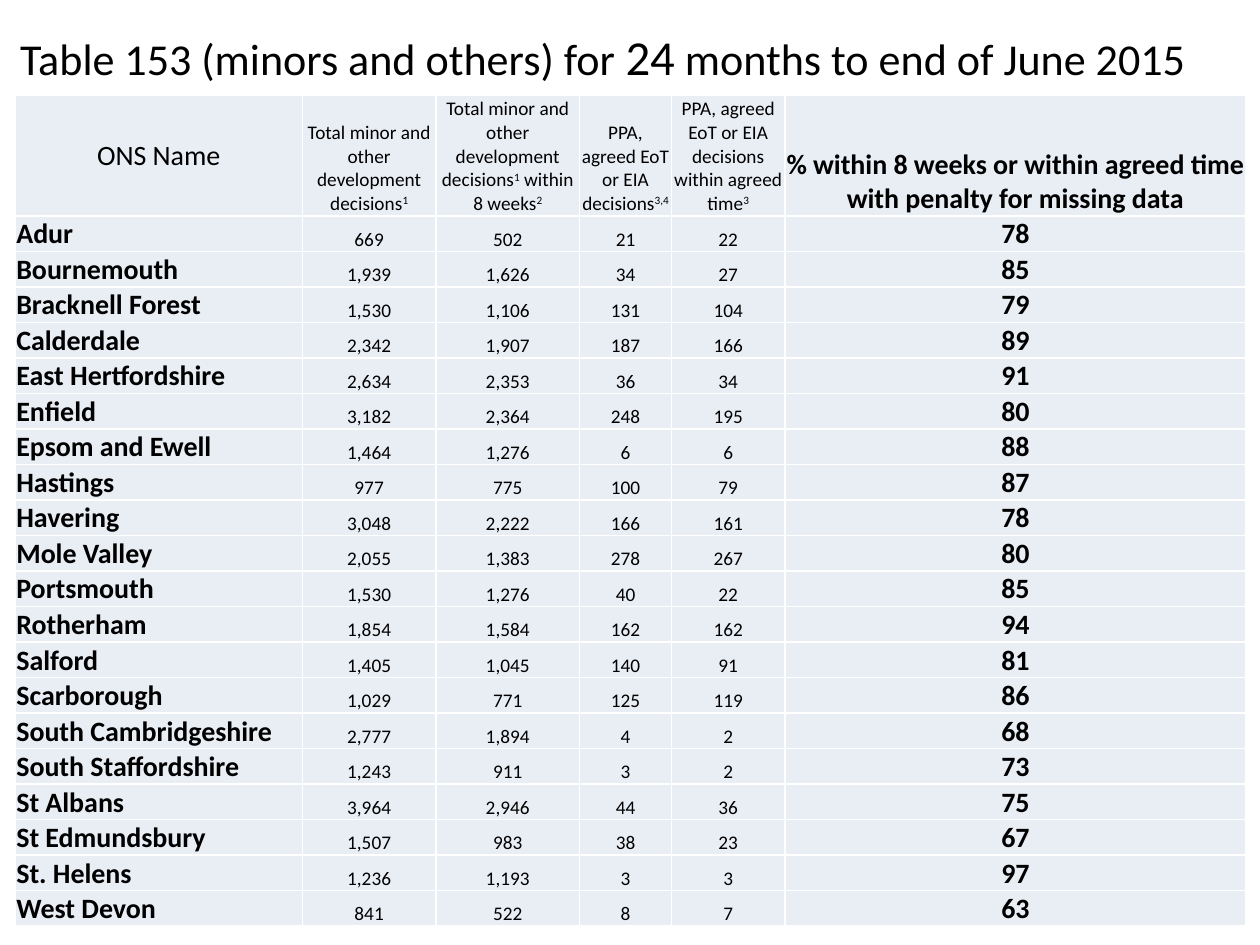
"""Build a slide with a table of planning decisions by local authority."""
import pptx
import pptx.dml.color
import pptx.enum.text
import pptx.oxml
import pptx.oxml.ns
import pptx.util

Inches = pptx.util.Inches
ALIGN = pptx.enum.text.PP_ALIGN
ANCHOR = pptx.enum.text.MSO_ANCHOR
BLACK = pptx.dml.color.RGBColor(0, 0, 0)
WHITE = pptx.dml.color.RGBColor(255, 255, 255)
PALE_BLUE = pptx.dml.color.RGBColor(0xE9, 0xED, 0xF4)
FONT = "Calibri"
LARGE, SMALL = 16, 11

TITLE = [
    ("Table 153 (minors and others) for ", 25.2),
    ("24", 27.9),
    (" months to end of June 2015", 25.2),
]
# Header parts alternate between normal and superscript text.
HEADERS = [
    ["ONS Name"],
    ["Total minor and other development decisions", "1"],
    ["Total minor and other development decisions", "1", " within 8 weeks", "2"],
    ["PPA, agreed EoT or EIA decisions", "3,4"],
    ["PPA, agreed EoT or EIA decisions within agreed time", "3"],
    ["% within 8 weeks or within agreed time with penalty for missing data"],
]
AUTHORITIES = [
    ("Adur", 669, 502, 21, 22, 78),
    ("Bournemouth", 1939, 1626, 34, 27, 85),
    ("Bracknell Forest", 1530, 1106, 131, 104, 79),
    ("Calderdale", 2342, 1907, 187, 166, 89),
    ("East Hertfordshire", 2634, 2353, 36, 34, 91),
    ("Enfield", 3182, 2364, 248, 195, 80),
    ("Epsom and Ewell", 1464, 1276, 6, 6, 88),
    ("Hastings", 977, 775, 100, 79, 87),
    ("Havering", 3048, 2222, 166, 161, 78),
    ("Mole Valley", 2055, 1383, 278, 267, 80),
    ("Portsmouth", 1530, 1276, 40, 22, 85),
    ("Rotherham", 1854, 1584, 162, 162, 94),
    ("Salford", 1405, 1045, 140, 91, 81),
    ("Scarborough", 1029, 771, 125, 119, 86),
    ("South Cambridgeshire", 2777, 1894, 4, 2, 68),
    ("South Staffordshire", 1243, 911, 3, 2, 73),
    ("St Albans", 3964, 2946, 44, 36, 75),
    ("St Edmundsbury", 1507, 983, 38, 23, 67),
    ("St. Helens", 1236, 1193, 3, 3, 97),
    ("West Devon", 841, 522, 8, 7, 63),
]
COLUMN_WIDTHS = [2.28, 1.06, 1.14, 0.73, 0.9, 3.66]
HEADER_HEIGHT, ROW_HEIGHT = 0.94, 0.24
LAST = len(COLUMN_WIDTHS) - 1


def add_text(paragraph, text, size=SMALL, bold=False, superscript=False, alignment=ALIGN.CENTER):
    paragraph.alignment = alignment
    run = paragraph.add_run()
    run.text = text
    run.font.name = FONT
    run.font.size = pptx.util.Pt(size)
    run.font.bold = bold
    run.font.color.rgb = BLACK
    if superscript:
        run.font._element.set("baseline", "30000")


def format_cell(cell, anchor=ANCHOR.BOTTOM):
    cell.margin_left = cell.margin_right = cell.margin_top = Inches(0.01)
    cell.margin_bottom = 0
    cell.vertical_anchor = anchor
    properties = cell._tc.get_or_add_tcPr()
    for side in "LRTB":
        properties.append(pptx.oxml.parse_xml(
            f'<a:ln{side} {pptx.oxml.ns.nsdecls("a")} w="12700"><a:solidFill>'
            f'<a:srgbClr val="{WHITE}"/></a:solidFill></a:ln{side}>'))
    cell.fill.solid()
    cell.fill.fore_color.rgb = PALE_BLUE


def add_title(slide):
    title = slide.shapes.title
    title.left, title.top = Inches(0), Inches(0.21)
    title.width, title.height = Inches(9.57), Inches(0.47)
    frame = title.text_frame
    frame.word_wrap = True
    frame.auto_size = pptx.enum.text.MSO_AUTO_SIZE.NONE
    frame.vertical_anchor = ANCHOR.MIDDLE
    for text, size in TITLE:
        add_text(frame.paragraphs[0], text, size=size)


def add_decisions_table(slide):
    shape = slide.shapes.add_table(
        len(AUTHORITIES) + 1, len(HEADERS),
        Inches(0.12), Inches(0.76), Inches(9.76), Inches(6.45))
    table = shape.table
    table.first_row = table.horz_banding = False
    for column, width in zip(table.columns, COLUMN_WIDTHS):
        column.width = Inches(width)
    for index, row in enumerate(table.rows):
        row.height = Inches(ROW_HEIGHT if index else HEADER_HEIGHT)
    shape.height = Inches(6.45)

    for column, parts in enumerate(HEADERS):
        cell = table.cell(0, column)
        format_cell(cell, anchor=ANCHOR.BOTTOM if column else ANCHOR.MIDDLE)
        for index, text in enumerate(parts):
            add_text(cell.text_frame.paragraphs[0], text, superscript=index % 2 == 1,
                     size=LARGE if column in (0, LAST) else SMALL, bold=column == LAST)

    for row, values in enumerate(AUTHORITIES, start=1):
        for column, value in enumerate(values):
            cell = table.cell(row, column)
            format_cell(cell)
            outer = column in (0, LAST)
            add_text(cell.text_frame.paragraphs[0], f"{value:,}" if column else value,
                     size=LARGE if outer else SMALL, bold=outer,
                     alignment=ALIGN.CENTER if column else ALIGN.LEFT)


def main():
    presentation = pptx.Presentation()
    presentation.slide_width, presentation.slide_height = Inches(10), Inches(7.5)
    slide = presentation.slides.add_slide(presentation.slide_layouts[0])
    subtitle = slide.placeholders[1]._element
    subtitle.getparent().remove(subtitle)
    add_title(slide)
    add_decisions_table(slide)
    presentation.save("out.pptx")


if __name__ == "__main__":
    main()
